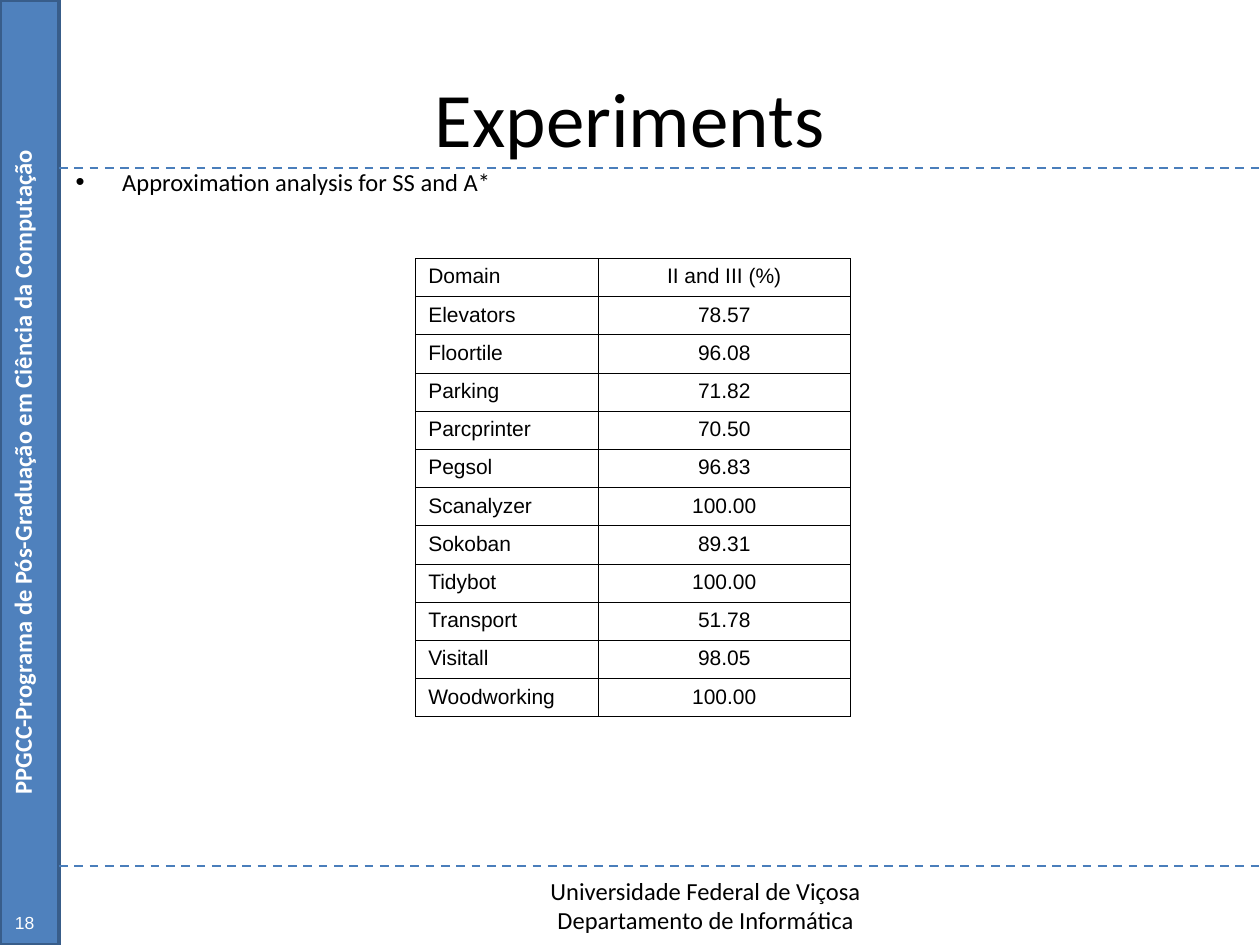
"""Build the Experiments slide with its table of results by domain."""
from lxml.etree import SubElement
from pptx import Presentation
from pptx.dml.color import RGBColor
from pptx.enum.dml import MSO_LINE
from pptx.enum.shapes import MSO_CONNECTOR, MSO_SHAPE
from pptx.enum.text import MSO_ANCHOR, MSO_AUTO_SIZE, PP_ALIGN
from pptx.oxml.ns import qn
from pptx.util import Cm, Pt

BLACK = RGBColor(0x00, 0x00, 0x00)
WHITE = RGBColor(0xFF, 0xFF, 0xFF)
BLUE = RGBColor(0x4F, 0x81, 0xBD)
NAVY = RGBColor(0x38, 0x5D, 0x8A)
DASH = RGBColor(0x4A, 0x7E, 0xBB)

TITLE = {"name": "Calibri", "size": Pt(44)}
BODY = {"name": "Calibri", "size": Pt(14)}
SIDE = {"name": "Calibri", "size": Pt(14), "bold": True}
PAGE = {"name": "Arial", "size": Pt(10)}
CELL = {"name": "Arial", "size": Pt(12)}

ROWS = [
    ("Domain", "II and III (%)"),
    ("Elevators", "78.57"),
    ("Floortile", "96.08"),
    ("Parking", "71.82"),
    ("Parcprinter", "70.50"),
    ("Pegsol", "96.83"),
    ("Scanalyzer", "100.00"),
    ("Sokoban", "89.31"),
    ("Tidybot", "100.00"),
    ("Transport", "51.78"),
    ("Visitall", "98.05"),
    ("Woodworking", "100.00"),
]


def write(frame, text, style, color, align):
    frame.text = text
    for para in frame.paragraphs:
        para.alignment = align
        para.font.color.rgb = color
        for key, value in style.items():
            setattr(para.font, key, value)


def place(shape, left, top, width, height):
    shape.left, shape.top = Cm(left), Cm(top)
    shape.width, shape.height = Cm(width), Cm(height)


deck = Presentation()
deck.slide_width, deck.slide_height = Cm(25.4), Cm(19.05)
slide = deck.slides.add_slide(deck.slide_layouts[1])
shapes = slide.shapes

title = shapes.title
place(title, 1.27, 0.76, 22.86, 3.18)
write(title.text_frame, "Experiments", TITLE, BLACK, PP_ALIGN.CENTER)
title.text_frame.vertical_anchor = MSO_ANCHOR.MIDDLE

body = slide.placeholders[1]
place(body, 1.27, 3.23, 22.86, 13.69)
body.text_frame.text = "Approximation analysis for SS and A*"
item = body.text_frame.paragraphs[0]
props = item._p.get_or_add_pPr()
props.set("marL", str(Cm(0.94)))
props.set("indent", str(-Cm(0.94)))
SubElement(props, qn("a:buSzPct"), val="105000")
SubElement(props, qn("a:buFont"), typeface="Arial")
SubElement(props, qn("a:buChar"), char="•")
item.space_before = Pt(0)
item.alignment = PP_ALIGN.LEFT
item.font.color.rgb = BLACK
for key, value in BODY.items():
    setattr(item.font, key, value)

bar = shapes.add_shape(MSO_SHAPE.RECTANGLE, 0, 0, Cm(1.19), Cm(19.05))
bar.shadow.inherit = False
bar.fill.solid()
bar.fill.fore_color.rgb = BLUE
bar.line.color.rgb = NAVY
bar.line.width = Pt(2)

for y in (3.38, 17.46):
    rule = shapes.add_connector(
        MSO_CONNECTOR.STRAIGHT, Cm(1.19), Cm(y), Cm(25.4), Cm(y))
    rule.line.color.rgb = DASH
    rule.line.width = Pt(1.25)
    rule.line.dash_style = MSO_LINE.DASH
    SubElement(rule._element.spPr, qn("a:effectLst"))

NOTES = [
    ("Universidade Federal de Viçosa\nDepartamento de Informática",
     (5.69, 17.53, 17.07, 1.45), BODY, BLACK, PP_ALIGN.CENTER, 0, True),
    ("PPGCC-Programa de Pós-Graduação em Ciência da Computação",
     (-9.07, 9.09, 19.05, 0.86), SIDE, WHITE, PP_ALIGN.CENTER, 270, True),
    ("18", (0.05, 18.26, 0.89, 0.76), PAGE, WHITE, PP_ALIGN.LEFT, 0, False),
]
for text, area, style, color, align, angle, wrap in NOTES:
    box = shapes.add_textbox(*map(Cm, area))
    box.rotation = angle
    box.text_frame.word_wrap = wrap
    box.text_frame.auto_size = MSO_AUTO_SIZE.SHAPE_TO_FIT_TEXT
    write(box.text_frame, text, style, color, align)

table = shapes.add_table(
    len(ROWS), 2, Cm(8.38), Cm(5.21), Cm(8.76), Cm(9.24)).table
table.first_row = table.horz_banding = False
for col, width in zip(table.columns, (3.68, 5.08)):
    col.width = Cm(width)
for r, row in enumerate(ROWS):
    table.rows[r].height = Cm(0.77)
    for c, text in enumerate(row):
        cell = table.cell(r, c)
        align = PP_ALIGN.CENTER if c else PP_ALIGN.LEFT
        write(cell.text_frame, text, CELL, BLACK, align)
        edges = cell._tc.get_or_add_tcPr()
        for side in ("lnL", "lnR", "lnT", "lnB"):
            edge = SubElement(edges, qn(f"a:{side}"), w=str(Pt(0.57)))
            fill = SubElement(edge, qn("a:solidFill"))
            SubElement(fill, qn("a:srgbClr"), val=str(BLACK))
        cell.fill.background()

deck.save("out.pptx")
